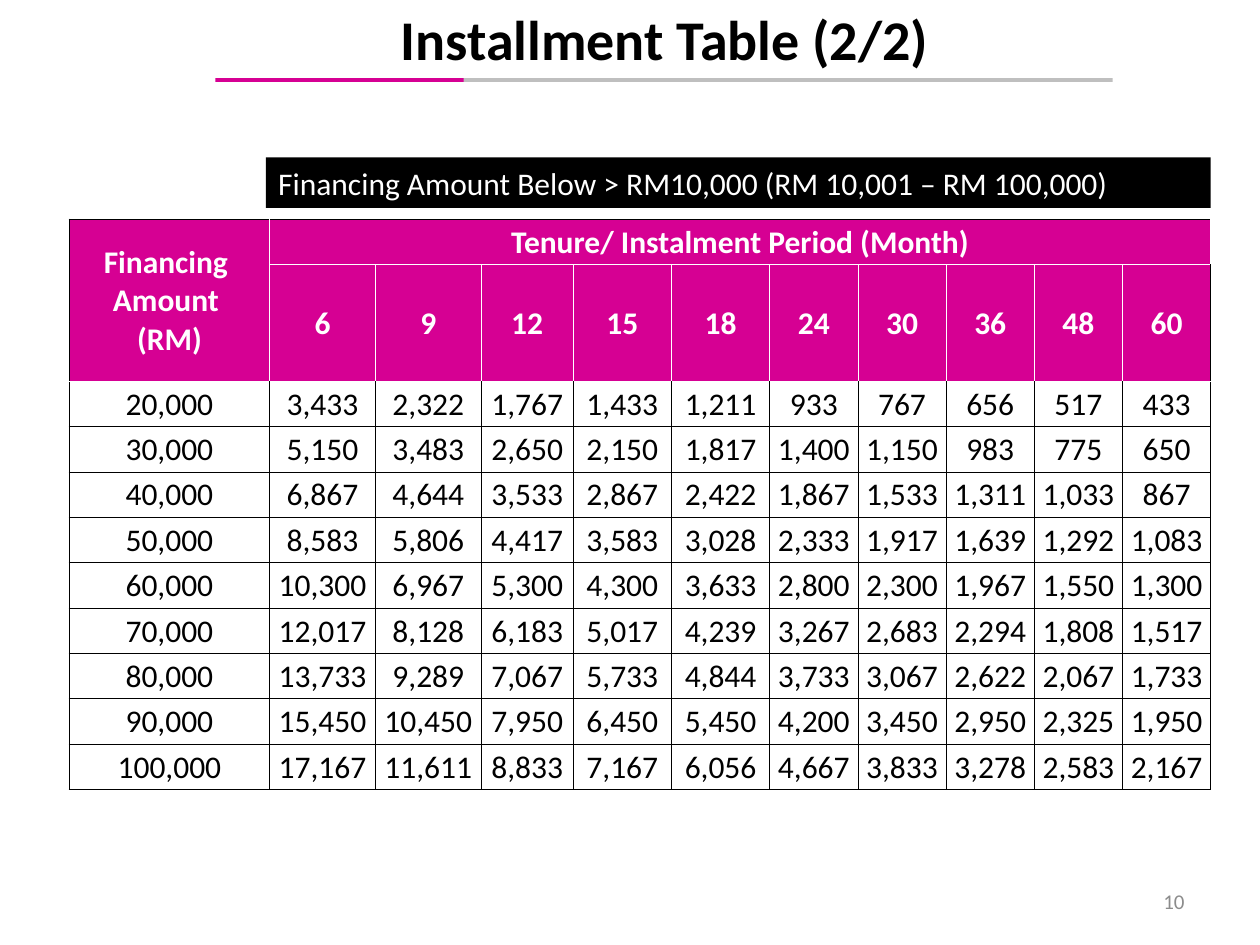
from dataclasses import dataclass
from typing import Any

from lxml import etree
from pptx import Presentation, util as u
from pptx.dml.color import RGBColor
from pptx.enum import shapes, text
from pptx.oxml.ns import qn


@dataclass(frozen=True)
class Theme:
    font: str = "Calibri"
    black: str = "000000"
    white: str = "FFFFFF"
    magenta: str = "D60093"
    silver: str = "BFBFBF"
    grey: str = "8C8C8C"
    title_size: int = 32
    body_size: int = 18
    number_size: int = 12


@dataclass(frozen=True)
class Box:
    """Place on a grid of 1000 columns by 750 rows."""
    column: int
    row: int
    columns: int
    rows: int

    def lengths(self) -> tuple[int, ...]:
        return tuple(grid(n) for n in (self.column, self.row, self.columns, self.rows))


@dataclass(frozen=True)
class Label:
    wording: str
    box: Box
    size: int
    color: str
    align: Any
    bold: bool = False
    anchor: Any = text.MSO_ANCHOR.TOP
    auto_size: Any = text.MSO_AUTO_SIZE.SHAPE_TO_FIT_TEXT
    fill: str | None = None


THEME = Theme()
GRID_COLUMNS, GRID_ROWS = 1000, 750
ALIGN = text.PP_ALIGN

# Instalments: flat profit of 0.5% a month, spread over the tenure
TENURES = (6, 9, 12, 15, 18, 24, 30, 36, 48, 60)
AMOUNTS = range(20_000, 100_001, 10_000)
MONTHLY_RATE = 0.005
TABLE_BOX = Box(55, 174, 906, 415)
COLUMN_WIDTHS = (159, 84, 84, 73, 78, 78) + (70,) * 5
ROW_HEIGHT = 36
HEADER_ROWS = 2

RULES = (
    (Box(174, 62, 709, 3), THEME.silver),
    (Box(171, 62, 197, 3), THEME.magenta),
)
LABELS = (
    Label("Financing Amount Below > RM10,000 (RM 10,001 – RM 100,000)",
          Box(211, 125, 750, 40), THEME.body_size, THEME.white, ALIGN.LEFT,
          fill=THEME.black),
    Label("Installment Table (2/2)", Box(172, -1, 711, 64),
          THEME.title_size, THEME.black, ALIGN.CENTER, bold=True),
    Label("10", Box(717, 695, 233, 40), THEME.number_size, THEME.grey, ALIGN.RIGHT,
          anchor=text.MSO_ANCHOR.MIDDLE, auto_size=text.MSO_AUTO_SIZE.NONE),
)


def grid(units: int) -> int:
    return u.Inches(units / 100)


def apply(target: Any, values: dict[str, Any]) -> None:
    for name, value in values.items():
        setattr(target, name, value)


def write(frame: Any, wording: str, size: int, color: str, align: Any, bold: bool) -> None:
    frame.text = wording
    for paragraph in frame.paragraphs:
        paragraph.alignment = align
        for run in paragraph.runs:
            apply(run.font, {"name": THEME.font, "size": u.Pt(size), "bold": bold})
            run.font.color.rgb = RGBColor.from_string(color)


def draw_rectangle(container: Any, box: Box, color: str) -> Any:
    shape = container.add_shape(shapes.MSO_SHAPE.RECTANGLE, *box.lengths())
    shape.shadow.inherit = False
    shape.fill.solid()
    shape.fill.fore_color.rgb = RGBColor.from_string(color)
    shape.line.fill.background()
    return shape


def draw_label(slide: Any, label: Label) -> None:
    if label.fill:
        shape = draw_rectangle(slide.shapes, label.box, label.fill)
    else:
        shape = slide.shapes.add_textbox(*label.box.lengths())
    frame = shape.text_frame
    write(frame, label.wording, label.size, label.color, label.align, label.bold)
    apply(frame, {"word_wrap": True, "auto_size": label.auto_size,
                  "vertical_anchor": label.anchor})


def cell_borders(row: int, column: int) -> dict[str, tuple[str, float]]:
    """Colour and width of each side, in the order the file format needs."""
    header, last = row < HEADER_ROWS, len(TENURES)
    inner = (THEME.white if header else THEME.black, 0.5)
    outer = (THEME.black, 1)
    top_inner = (THEME.white, 0.5) if row == HEADER_ROWS else inner
    return {
        "lnL": outer if column == 0 or (column == 1 and not header) else inner,
        "lnR": outer if column == last or (column == 0 and not header) else inner,
        "lnT": outer if row == 0 else top_inner,
        "lnB": inner,
    }


def draw_borders(cell: Any, borders: dict[str, tuple[str, float]]) -> None:
    properties = cell._tc.get_or_add_tcPr()
    for side, (color, width) in borders.items():
        line = etree.SubElement(properties, qn(f"a:{side}"), w=str(u.Pt(width)))
        fill = etree.SubElement(line, qn("a:solidFill"))
        etree.SubElement(fill, qn("a:srgbClr"), val=color)


def draw_cell(cell: Any, wording: str, row: int, column: int) -> None:
    header = row < HEADER_ROWS
    draw_borders(cell, cell_borders(row, column))
    if header:
        cell.fill.solid()
        cell.fill.fore_color.rgb = RGBColor.from_string(THEME.magenta)
    else:
        cell.fill.background()
    apply(cell, {"margin_left": grid(1), "margin_top": grid(1), "margin_right": grid(1),
                 "margin_bottom": 0, "vertical_anchor": text.MSO_ANCHOR.MIDDLE})
    write(cell.text_frame, wording, THEME.body_size,
          THEME.white if header else THEME.black, ALIGN.CENTER, header)


def instalment_rows() -> list[list[str]]:
    blanks = [""] * (len(TENURES) - 1)
    return [
        ["Financing \nAmount \n(RM)", "Tenure/ Instalment Period (Month)", *blanks],
        ["", *map(str, TENURES)],
        *([f"{amount:,}", *(f"{amount / months + amount * MONTHLY_RATE:,.0f}"
                            for months in TENURES)] for amount in AMOUNTS),
    ]


def draw_table(slide: Any) -> None:
    rows = instalment_rows()
    table = slide.shapes.add_table(len(rows), len(COLUMN_WIDTHS), *TABLE_BOX.lengths()).table
    apply(table, {"first_row": False, "horz_banding": False})
    for column, width in zip(table.columns, COLUMN_WIDTHS):
        column.width = grid(width)
    for row in table.rows:
        row.height = grid(ROW_HEIGHT)
    for r, wordings in enumerate(rows):
        for c, wording in enumerate(wordings):
            draw_cell(table.cell(r, c), wording, r, c)
    table.cell(0, 0).merge(table.cell(1, 0))
    table.cell(0, 1).merge(table.cell(0, len(TENURES)))


def main() -> None:
    presentation = Presentation()
    apply(presentation, {"slide_width": grid(GRID_COLUMNS), "slide_height": grid(GRID_ROWS)})
    slide = presentation.slides.add_slide(presentation.slide_layouts[6])

    # Two-tone rule under the title
    group = slide.shapes.add_group_shape()
    for box, color in RULES:
        draw_rectangle(group.shapes, box, color)

    # Instalment table, then banner, title and page number
    draw_table(slide)
    for label in LABELS:
        draw_label(slide, label)

    presentation.save("out.pptx")


if __name__ == "__main__":
    main()
